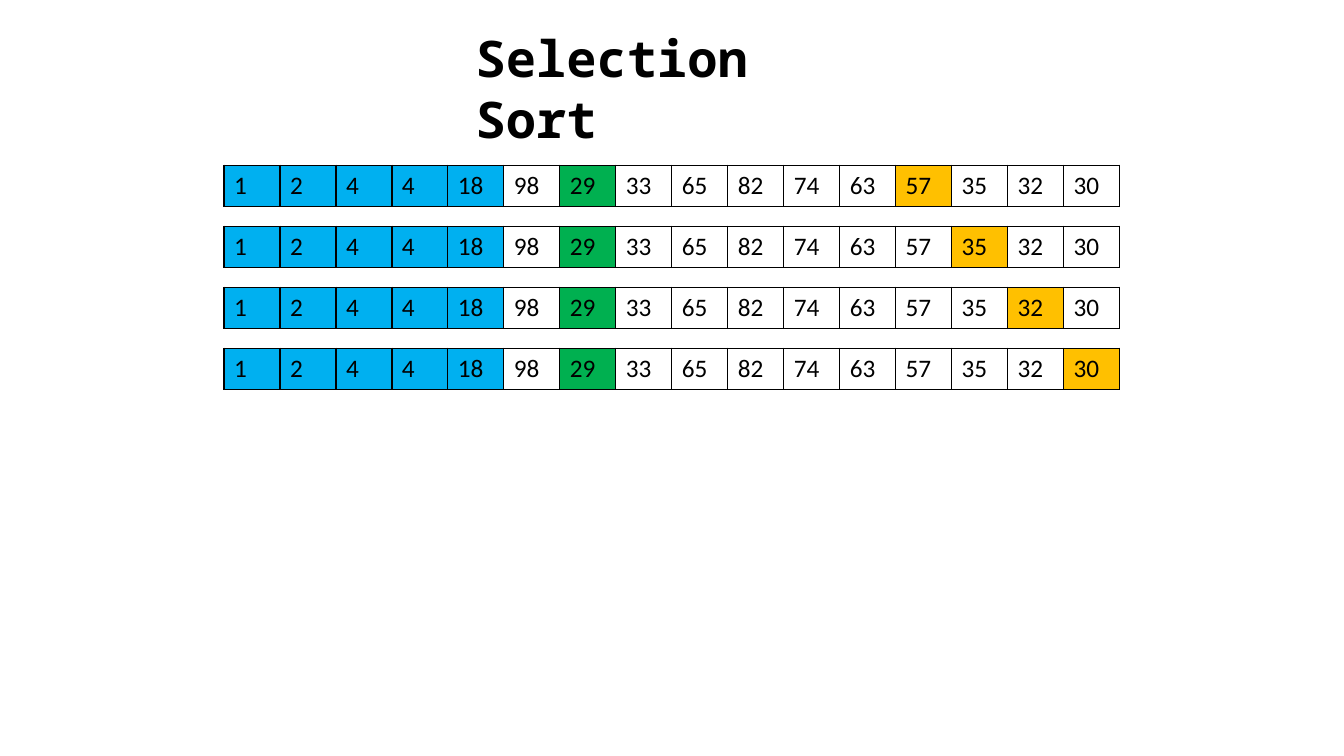
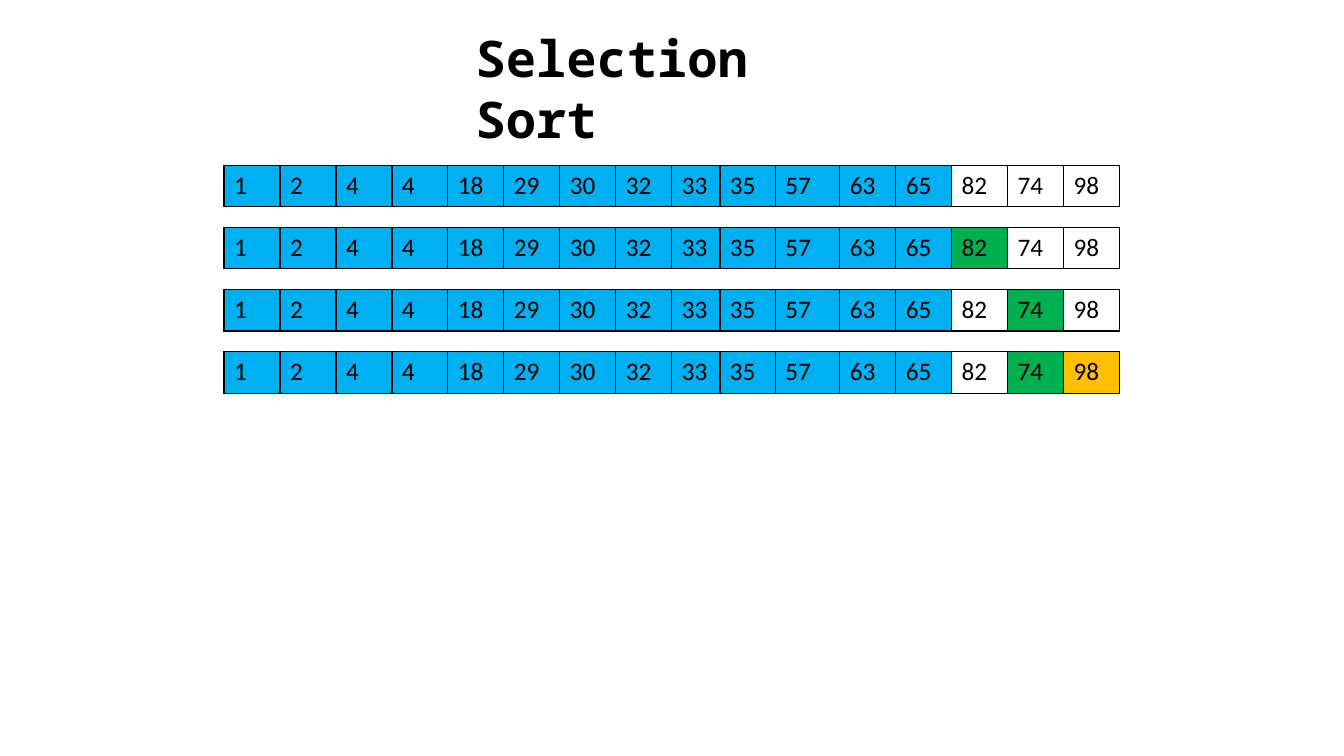
from lxml import etree
from pptx import Presentation
from pptx.dml.color import RGBColor
from pptx.enum.text import MSO_AUTO_SIZE
from pptx.oxml.ns import qn
from pptx.util import Inches, Pt

FIT_SHAPE = MSO_AUTO_SIZE.SHAPE_TO_FIT_TEXT

BLACK = RGBColor(0x00, 0x00, 0x00)
WHITE = RGBColor(0xFF, 0xFF, 0xFF)
SORTED_BLUE = RGBColor(0x00, 0xB0, 0xF0)
MINIMUM_GREEN = RGBColor(0x00, 0xB0, 0x50)
CURRENT_ORANGE = RGBColor(0xFF, 0xC0, 0x00)

TITLE_FONT = "Noto Sans Mono"
VALUE_FONT = "Calibri"

# The slide is 24 columns wide; an array fills the middle 16
SLIDE_WIDTH, SLIDE_HEIGHT = Inches(13.33), Inches(7.5)
COLUMN = SLIDE_WIDTH / 24
ARRAY_LEFT = 4 * COLUMN
ARRAY_TOP = Inches(1.64)
ARRAY_HEIGHT = Inches(0.41)
TITLE_BOX = (Inches(4.62), Inches(0.22), Inches(4.09), Inches(0.71))

EVEN_COLUMNS = [1] * 16
UNEVEN_COLUMNS = [1] * 8 + [0.86, 0.99, 1.15] + [1] * 5

# Each step gives the indexes of the smallest value so far and the value compared
SLIDES = [
    {
        "values": [1, 2, 4, 4, 18, 98, 29, 33, 65, 82, 74, 63, 57, 35, 32, 30],
        "sorted_count": 5,
        "columns": EVEN_COLUMNS,
        "pitch": Inches(0.605),
        "steps": [(6, 12), (6, 13), (6, 14), (6, 15)],
    },
    {
        "values": [1, 2, 4, 4, 18, 29, 30, 32, 33, 35, 57, 63, 65, 82, 74, 98],
        "sorted_count": 13,
        "columns": UNEVEN_COLUMNS,
        "pitch": Inches(0.617),
        "steps": [(None, None), (13, None), (14, None), (14, 15)],
    },
]


def add_title(slide, box):
    frame = slide.shapes.add_textbox(*box).text_frame
    frame.word_wrap = True
    frame.auto_size = FIT_SHAPE
    title = frame.paragraphs[0]
    title.text = "Selection Sort"
    title.font.name = TITLE_FONT
    title.font.size = Pt(36)
    title.font.bold = True
    title.font.color.rgb = BLACK


def add_borders(cell):
    properties = cell._tc.get_or_add_tcPr()
    for side in ("a:lnL", "a:lnR", "a:lnT", "a:lnB"):
        border = etree.SubElement(properties, qn(side), w=str(Pt(1)))
        fill = etree.SubElement(border, qn("a:solidFill"))
        etree.SubElement(fill, qn("a:srgbClr"), val=str(BLACK))


def value_color(index, sorted_count, minimum, current):
    if index < sorted_count:
        return SORTED_BLUE
    return {minimum: MINIMUM_GREEN, current: CURRENT_ORANGE}.get(index, WHITE)


def add_array(slide, left, top, content, minimum, current):
    """One state of the array, as a table of a single row."""
    values = content["values"]
    widths = [round(share * COLUMN) for share in content["columns"]]
    array = slide.shapes.add_table(
        1, len(values), round(left), round(top), sum(widths), ARRAY_HEIGHT
    ).table
    array.first_row = False
    array.horz_banding = False
    for index, (value, width) in enumerate(zip(values, widths)):
        array.columns[index].width = width
        cell = array.cell(0, index)
        add_borders(cell)
        cell.fill.solid()
        cell.fill.fore_color.rgb = value_color(
            index, content["sorted_count"], minimum, current
        )
        number = cell.text_frame.paragraphs[0]
        number.text = str(value)
        number.font.name = VALUE_FONT
        number.font.size = Pt(18)
        number.font.color.rgb = BLACK


def add_sort_slide(deck, content):
    slide = deck.slides.add_slide(deck.slide_layouts[6])
    add_title(slide, TITLE_BOX)
    for step, (minimum, current) in enumerate(content["steps"]):
        top = ARRAY_TOP + step * content["pitch"]
        add_array(slide, ARRAY_LEFT, top, content, minimum, current)


def main():
    deck = Presentation()
    deck.slide_width, deck.slide_height = SLIDE_WIDTH, SLIDE_HEIGHT
    for content in SLIDES:
        add_sort_slide(deck, content)
    deck.save("out.pptx")


if __name__ == "__main__":
    main()
